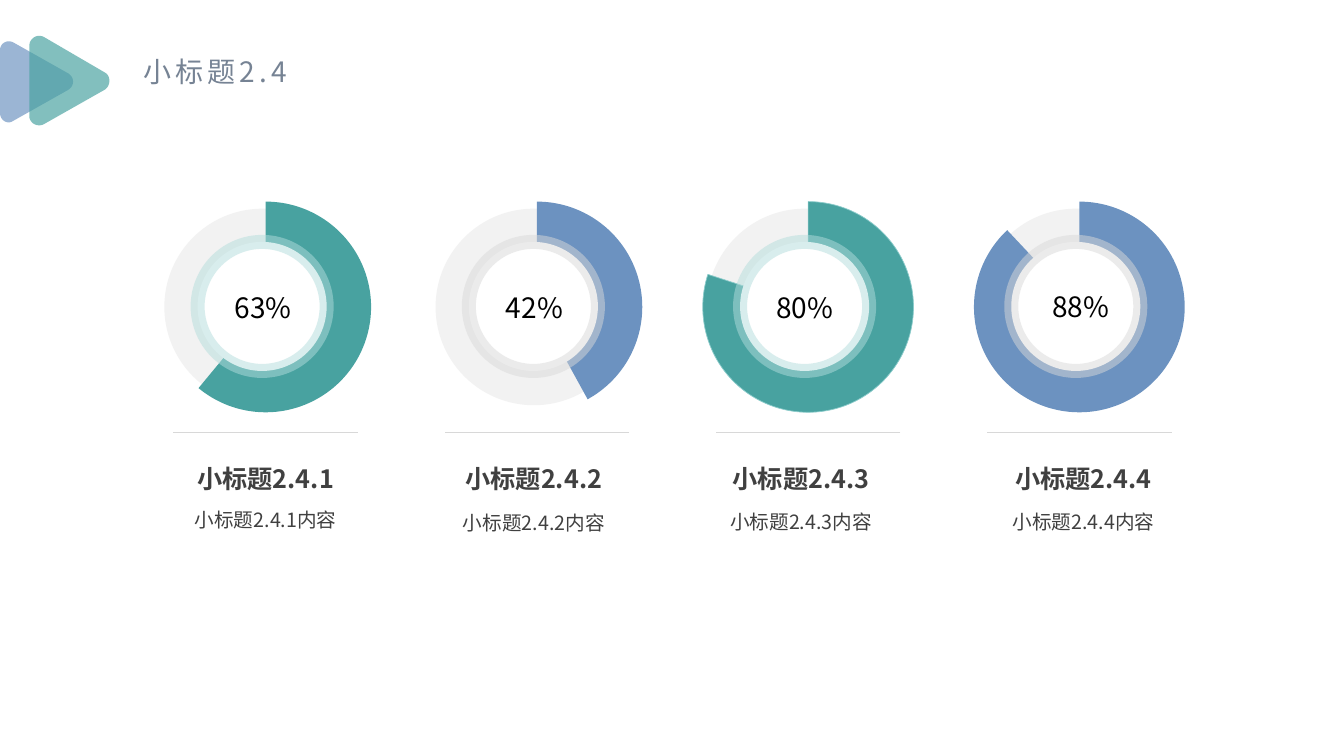
from dataclasses import dataclass
from typing import Any, NamedTuple

from pptx import Presentation
from pptx.dml.color import RGBColor
from pptx.enum.shapes import MSO_CONNECTOR, MSO_SHAPE
from pptx.enum.text import MSO_ANCHOR, MSO_AUTO_SIZE, PP_ALIGN
from pptx.oxml.ns import qn
from pptx.oxml.xmlchemy import OxmlElement
from pptx.util import Inches, Pt


@dataclass(frozen=True)
class Theme:
    font: str = "Noto Sans CJK SC"
    title: str = "768394"
    text: str = "404040"
    black: str = "000000"
    white: str = "FFFFFF"
    teal: str = "48A2A0"
    teal_rim: str = "B3DDDC"
    teal_edge: str = "8CCCCB"
    blue: str = "6C92C0"
    grey_rim: str = "D9D9D9"
    track: str = "F2F2F2"
    rule: str = "D8D8D8"
    title_size: int = 20
    percent_size: int = 20
    heading_size: int = 18
    body_size: int = 14
    rim_width: int = 10


class Box(NamedTuple):
    left: float
    top: float
    width: float
    height: float


class Point(NamedTuple):
    x: float
    y: float


@dataclass(frozen=True)
class Triangle:
    color: str
    corners: tuple[tuple[Point, Point, Point, Point], ...]


@dataclass(frozen=True)
class Gauge:
    label: str
    sweep: int
    color: str
    rim: str
    heading: str
    body: str
    heading_left: float
    body_top: float
    percent: Box
    edge: str = ""


T = Theme()
TITLE_BOX = Box(1.32, 0.49, 1.7, 0.44)
FIRST_LEFT, PITCH = 1.63, 2.69
TOP_ANGLE = 270
ADJ_PER_DEGREE = 0.6
CURVE_STEPS = 12

TRIANGLES = (
    Triangle(T.blue, (
        (Point(0.13, 0.42), Point(0.07, 0.39), Point(0, 0.43), Point(0, 0.5)),
        (Point(0, 1.12), Point(0, 1.19), Point(0.07, 1.24), Point(0.13, 1.2)),
        (Point(0.68, 0.89), Point(0.74, 0.85), Point(0.74, 0.77), Point(0.68, 0.73)),
    )),
    Triangle(T.teal, (
        (Point(0.44, 0.37), Point(0.37, 0.33), Point(0.29, 0.38), Point(0.29, 0.46)),
        (Point(0.29, 1.15), Point(0.29, 1.22), Point(0.37, 1.27), Point(0.44, 1.23)),
        (Point(1.04, 0.89), Point(1.1, 0.85), Point(1.1, 0.75), Point(1.04, 0.72)),
    )),
)

GAUGES = (
    Gauge("63%", 61, T.teal, T.teal_rim, "小标题2.4.1", "小标题2.4.1内容",
          1.72, 4.86, Box(2.23, 2.83, 0.81, 0.44)),
    Gauge("42%", 42, T.blue, T.grey_rim, "小标题2.4.2", "小标题2.4.2内容",
          4.38, 4.89, Box(4.92, 2.83, 0.81, 0.44)),
    Gauge("80%", 80, T.teal, T.teal_rim, "小标题2.4.3", "小标题2.4.3内容",
          7.03, 4.88, Box(7.6, 2.83, 0.81, 0.44), T.teal_edge),
    Gauge("88%", 88, T.blue, T.grey_rim, "小标题2.4.4", "小标题2.4.4内容",
          9.83, 4.88, Box(10.34, 2.82, 0.83, 0.44)),
)


def rgb(color: str) -> RGBColor:
    return RGBColor.from_string(color)


def set_alpha(node: Any, percent: int) -> None:
    for clr in node.iter(qn("a:srgbClr")):
        alpha = OxmlElement("a:alpha")
        alpha.set("val", str(percent * 1000))
        clr.append(alpha)


def paint(sp: Any, fill: str, line: str = "", width: float = 0) -> None:
    sp.shadow.inherit = False
    sp.fill.solid()
    sp.fill.fore_color.rgb = rgb(fill)
    if line:
        sp.line.color.rgb = rgb(line)
        sp.line.width = Pt(width)
    else:
        sp.line.fill.background()


def write(sp: Any, text: str, size: int, color: str, *, bold: bool = False,
          align: PP_ALIGN = PP_ALIGN.LEFT, spacing: float = 1.0, wrap: bool = True) -> Any:
    tf = sp.text_frame
    frame_format = {"word_wrap": wrap, "auto_size": MSO_AUTO_SIZE.SHAPE_TO_FIT_TEXT,
                    "vertical_anchor": MSO_ANCHOR.TOP}
    p = tf.paragraphs[0]
    r = p.add_run()
    r.text = text
    font_format = {"name": T.font, "size": Pt(size), "bold": bold}
    paragraph_format = {"alignment": align, "line_spacing": spacing}
    for target, values in ((tf, frame_format), (p, paragraph_format), (r.font, font_format)):
        for name, value in values.items():
            setattr(target, name, value)
    r.font.color.rgb = rgb(color)
    ea = OxmlElement("a:ea")
    ea.set("typeface", T.font)
    r.font.element.append(ea) if hasattr(r.font, "element") else r._r.get_or_add_rPr().append(ea)
    return r


def add_text(s: Any, box: Box, text: str, size: int, color: str, **kwargs: Any) -> None:
    write(s.shapes.add_textbox(*map(Inches, box)), text, size, color, **kwargs)


def add_title(s: Any) -> None:
    sp = s.shapes.title
    for name, value in TITLE_BOX._asdict().items():
        setattr(sp, name, Inches(value))
    r = write(sp, "小标题2.4", T.title_size, T.title, wrap=False)
    r._r.get_or_add_rPr().set("spc", "300")


def curve(corner: tuple[Point, Point, Point, Point]) -> list[tuple[int, int]]:
    points = []
    for i in range(CURVE_STEPS + 1):
        t = i / CURVE_STEPS
        weights = ((1 - t) ** 3, 3 * t * (1 - t) ** 2, 3 * t * t * (1 - t), t ** 3)
        x, y = (sum(w * v for w, v in zip(weights, axis)) for axis in zip(*corner))
        points.append((Inches(x), Inches(y)))
    return points


def add_triangle(s: Any, triangle: Triangle) -> None:
    start, *rest = [pt for corner in triangle.corners for pt in curve(corner)]
    builder = s.shapes.build_freeform(*start, scale=1.0)
    builder.add_line_segments(rest, close=True)
    sp = builder.convert_to_shape()
    paint(sp, triangle.color)
    set_alpha(sp.element.spPr, 68)


def add_gauge(s: Any, gauge: Gauge, left: float) -> None:
    def disc(kind: MSO_SHAPE, dx: float, top: float, size: float) -> Any:
        return s.shapes.add_shape(kind, *map(Inches, (left + dx, top, size, size)))

    paint(disc(MSO_SHAPE.OVAL, 0, 2.07, 1.95), T.track)

    pie = disc(MSO_SHAPE.PIE, -0.04, 2, 2.09)
    end_angle = (TOP_ANGLE + gauge.sweep * 3.6) % 360
    pie.adjustments[0] = TOP_ANGLE * ADJ_PER_DEGREE
    pie.adjustments[1] = end_angle * ADJ_PER_DEGREE
    paint(pie, gauge.color, gauge.edge, 0.5)

    hub = disc(MSO_SHAPE.OVAL, 0.33, 2.4, 1.28)
    paint(hub, T.white, gauge.rim, T.rim_width)
    set_alpha(hub.element.spPr.find(qn("a:ln")), 50)

    ends = map(Inches, (left + 1.92, 4.29, left + 0.09, 4.29))
    rule = s.shapes.add_connector(MSO_CONNECTOR.STRAIGHT, *ends)
    rule.line.color.rgb = rgb(T.rule)
    rule.line.width = Pt(1)
    rule.element.spPr.append(OxmlElement("a:effectLst"))

    add_text(s, Box(gauge.heading_left, 4.49, 1.83, 0.46), gauge.heading, T.heading_size,
             T.text, bold=True, align=PP_ALIGN.CENTER, spacing=1.2)
    add_text(s, Box(gauge.heading_left - 0.13, gauge.body_top, 2.09, 0.46), gauge.body,
             T.body_size, T.text, align=PP_ALIGN.CENTER, spacing=1.54)
    add_text(s, gauge.percent, gauge.label, T.percent_size, T.black)


def main() -> None:
    prs = Presentation()
    prs.slide_width, prs.slide_height = Inches(13.33), Inches(7.5)
    s = prs.slides.add_slide(prs.slide_layouts[5])
    add_title(s)
    for triangle in TRIANGLES:
        add_triangle(s, triangle)
    for i, gauge in enumerate(GAUGES):
        add_gauge(s, gauge, FIRST_LEFT + i * PITCH)
    prs.save("out.pptx")


if __name__ == "__main__":
    main()
